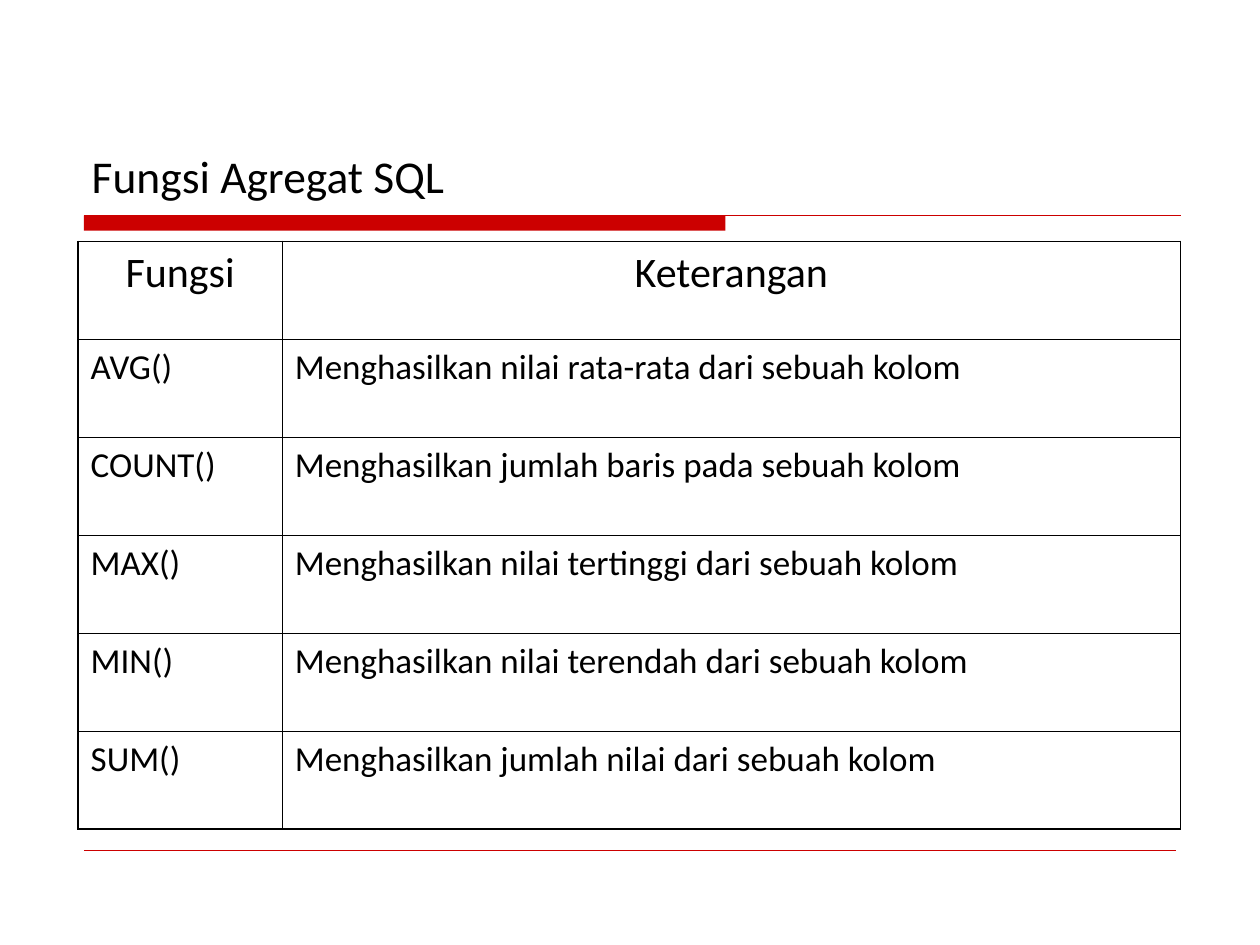
from dataclasses import dataclass

from lxml.etree import SubElement
from pptx import Presentation
from pptx.dml.color import RGBColor as RGB
from pptx.enum.shapes import MSO_CONNECTOR as CONN, MSO_SHAPE as SHAPE
from pptx.enum.text import MSO_ANCHOR as ANCHOR, PP_ALIGN as ALIGN
from pptx.oxml.ns import qn
from pptx.util import Pt


@dataclass(frozen=True)
class Theme:
    font: str = "Calibri"
    ink: RGB = RGB(0, 0, 0)
    accent: RGB = RGB(0xCC, 0, 0)
    title: float = 26
    header: float = 24
    body: float = 20
    outer: float = 1.08
    inner: float = 0.45


THEME = Theme()
ROWS = [
    ("Fungsi", "Keterangan"),
    ("AVG()", "Menghasilkan nilai rata-rata dari sebuah kolom"),
    ("COUNT()", "Menghasilkan jumlah baris pada sebuah kolom"),
    ("MAX()", "Menghasilkan nilai tertinggi dari sebuah kolom"),
    ("MIN()", "Menghasilkan nilai terendah dari sebuah kolom"),
    ("SUM()", "Menghasilkan jumlah nilai dari sebuah kolom"),
]


def write(tf, text, size, align=ALIGN.LEFT, before=0):
    p = tf.paragraphs[0]
    p.alignment = align
    p.space_before = Pt(before)
    r = p.add_run()
    r.text = text
    r.font.name = THEME.font
    r.font.size = Pt(size)
    r.font.color.rgb = THEME.ink


def add_rule(s, x, y, w, weight):
    line = s.shapes.add_connector(CONN.STRAIGHT, Pt(x), Pt(y), Pt(x + w), Pt(y))
    line.line.color.rgb = THEME.accent
    line.line.width = Pt(weight)
    SubElement(line._element.spPr, qn("a:effectLst"))


def add_title(s, x, y, w, h, text):
    tf = s.shapes.add_textbox(Pt(x), Pt(y), Pt(w), Pt(h)).text_frame
    tf.word_wrap = True
    tf.vertical_anchor = ANCHOR.BOTTOM
    write(tf, text, THEME.title)


def add_title_bar(s, x, y, w, h):
    """Thin rule over the full width, with a thick bar under its left part."""
    bar = s.shapes.add_shape(SHAPE.RECTANGLE, Pt(x), Pt(y), Pt(w * 0.585), Pt(h))
    bar.shadow.inherit = False
    bar.fill.solid()
    bar.fill.fore_color.rgb = THEME.accent
    bar.line.fill.background()
    add_rule(s, x, y, w, 0.75)


def set_borders(cell, weights):
    """Draw the left, right, top and bottom borders, in that order."""
    tcPr = cell._tc.get_or_add_tcPr()
    for i, (side, weight) in enumerate(zip(("lnL", "lnR", "lnT", "lnB"), weights)):
        ln = tcPr.makeelement(qn(f"a:{side}"), {"w": str(int(Pt(weight)))})
        fill = SubElement(ln, qn("a:solidFill"))
        SubElement(fill, qn("a:srgbClr"), val=str(THEME.ink))
        tcPr.insert(i, ln)


def add_function_table(s, x, y, w, h, first_col, rows):
    n_rows, n_cols = len(rows), len(rows[0])
    table = s.shapes.add_table(n_rows, n_cols, Pt(x), Pt(y), Pt(w), Pt(h)).table
    table.first_row = table.horz_banding = False
    for col, width in zip(table.columns, (first_col, w - first_col)):
        col.width = Pt(width)
    for i, texts in enumerate(rows):
        table.rows[i].height = Pt(h / n_rows)
        for j, text in enumerate(texts):
            cell = table.cell(i, j)
            cell.fill.background()
            if i == 0:
                write(cell.text_frame, text, THEME.header, ALIGN.CENTER, before=6)
            else:
                write(cell.text_frame, text, THEME.body, before=5)
            edges = (j == 0, j == n_cols - 1, i == 0, i == n_rows - 1)
            set_borders(cell, [THEME.outer if e else THEME.inner for e in edges])


def main():
    prs = Presentation()
    prs.slide_width, prs.slide_height = Pt(720), Pt(540)
    s = prs.slides.add_slide(prs.slide_layouts[6])
    add_title_bar(s, 48, 123.2, 626.6, 8.64)
    add_rule(s, 48, 486, 624, 0.25)
    add_function_table(s, 44.64, 138, 630, 336, 116.64, ROWS)
    add_title(s, 45.36, 82.8, 377.28, 36.72, "Fungsi Agregat SQL")
    prs.save("out.pptx")


if __name__ == "__main__":
    main()
